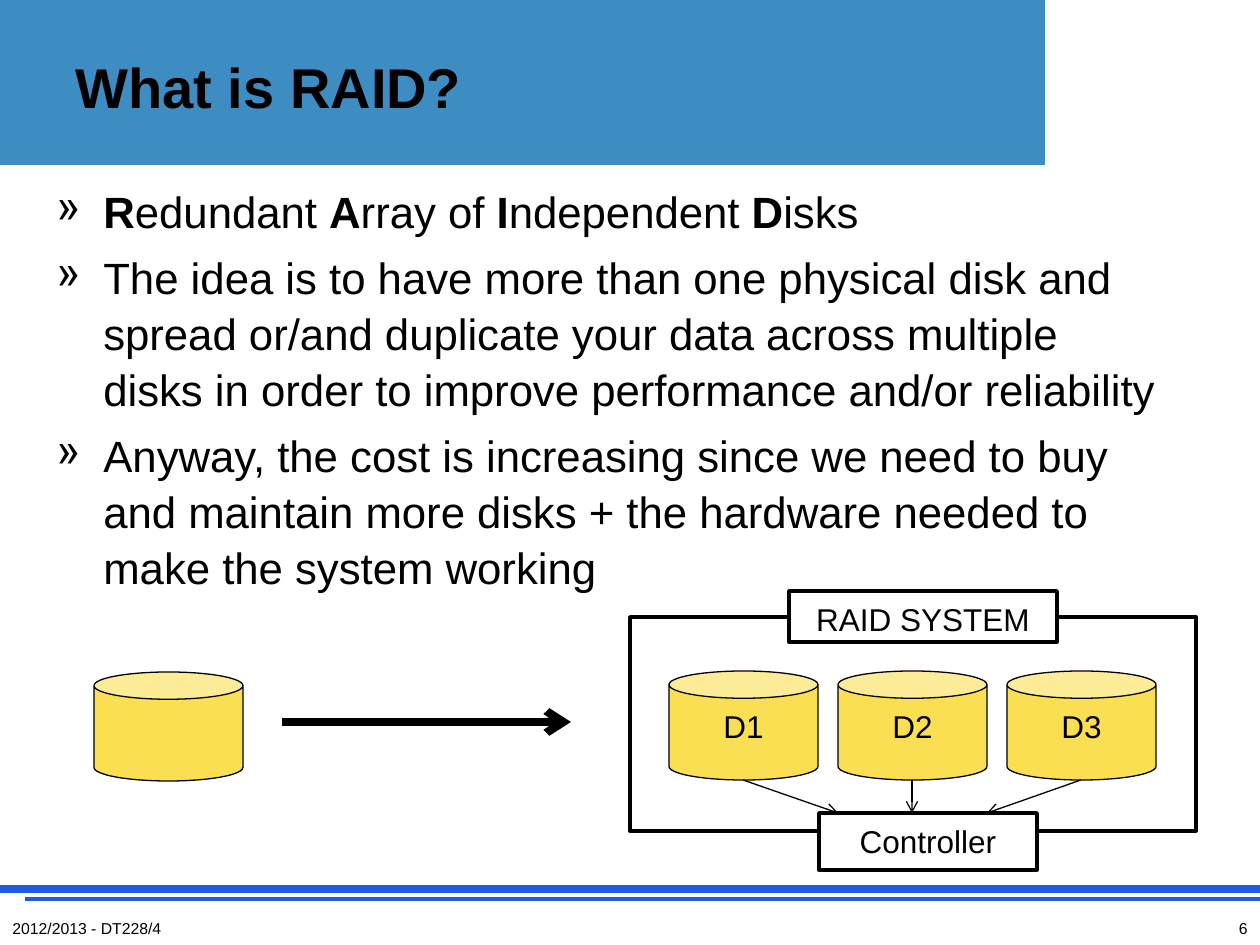
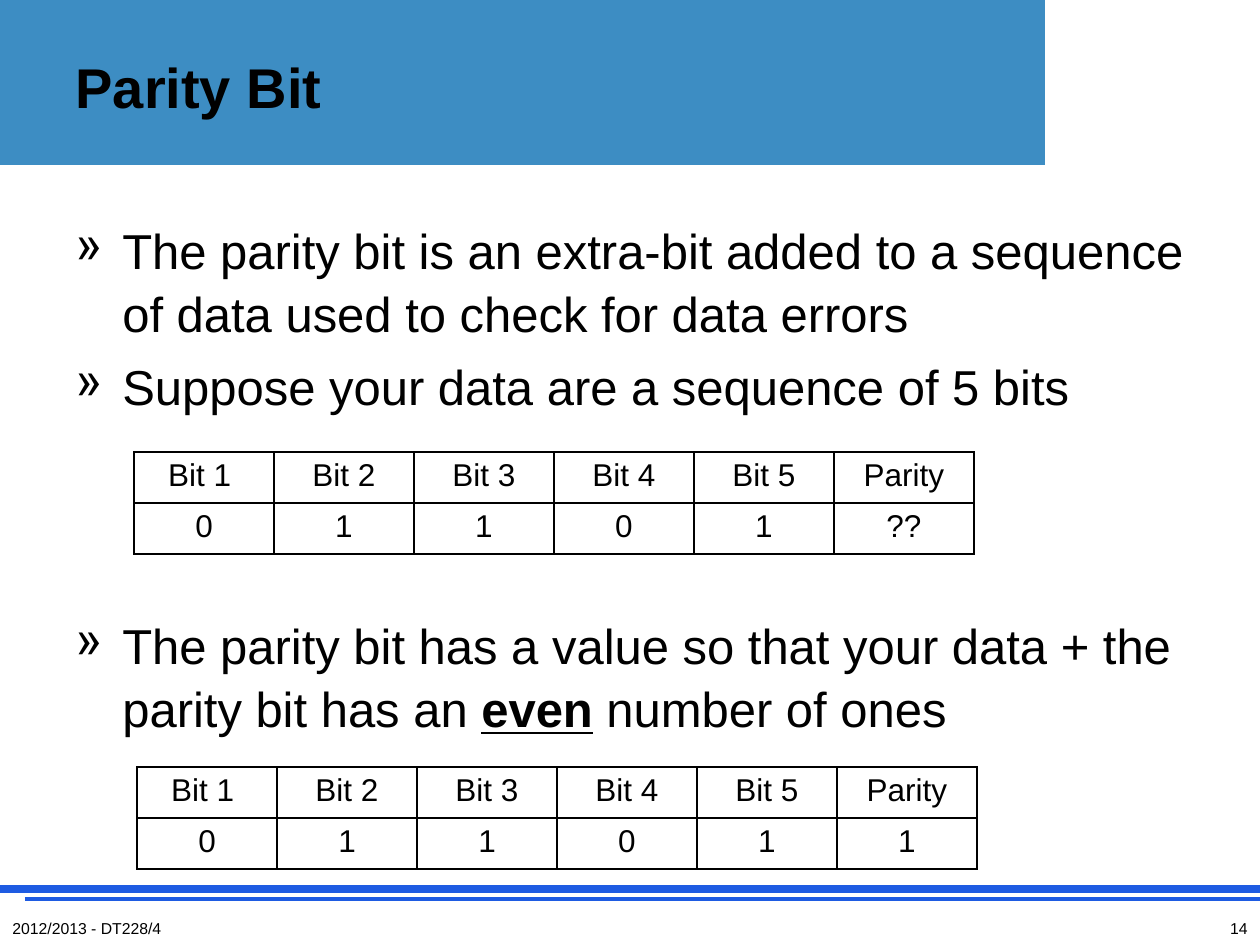
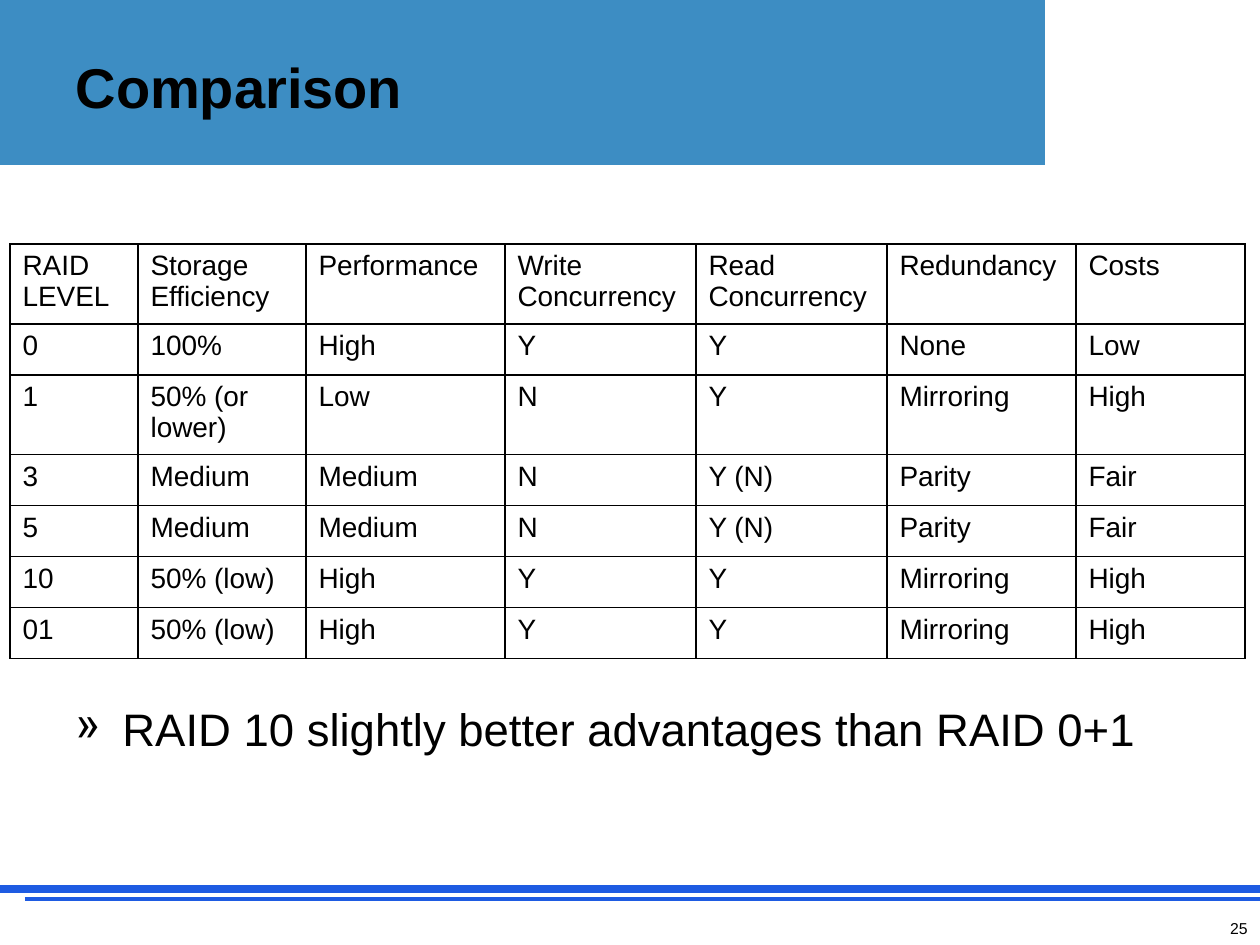
from lxml import etree
from pptx import Presentation
from pptx.dml.color import RGBColor
from pptx.enum.shapes import MSO_CONNECTOR, MSO_SHAPE
from pptx.enum.text import MSO_ANCHOR, PP_ALIGN
from pptx.oxml.ns import qn
from pptx.util import Emu, Pt

PX_PER_INCH = 126
SLIDE_W, SLIDE_H = 1260, 945
TITLE_ONLY = 5
FONT = "Arial"
COLORS = {"band": "3D8DC3", "rule": "1E5BE2", "disk": "FBDF53",
          "ink": "000000", "paper": "FFFFFF"}
LEFT, CENTER, RIGHT = PP_ALIGN.LEFT, PP_ALIGN.CENTER, PP_ALIGN.RIGHT
TOP, MIDDLE = MSO_ANCHOR.TOP, MSO_ANCHOR.MIDDLE
RECT, CAN = MSO_SHAPE.RECTANGLE, MSO_SHAPE.CAN
STRAIGHT = MSO_CONNECTOR.STRAIGHT
LINE_SPACING = 1.07
HANG = 47
ROW_H = 51
COURSE = "2012/2013 - DT228/4"


def px(length):
    return Emu(round(length * 914400 / PX_PER_INCH))


def rgb(name):
    return RGBColor.from_string(COLORS[name])


class Deck:
    def __init__(self):
        self.prs = Presentation()
        self.prs.slide_width, self.prs.slide_height = px(SLIDE_W), px(SLIDE_H)
        self.slide = None

    def new_slide(self, heading, number, footer=None):
        """Start a slide with the shared band, rules, title and footer."""
        layout = self.prs.slide_layouts[TITLE_ONLY]
        self.slide = self.prs.slides.add_slide(layout)
        self.shape(RECT, 0, 0, SLIDE_W, 165, fill="band")
        self.line((0, 889), (SLIDE_W, 889), 4.5, "rule")
        self.line((25, 899), (SLIDE_W, 899), 2.25, "rule")
        self.shape(RECT, 1047, 0, 213, 175, fill="paper", outline="paper", weight=2)

        title = self.slide.shapes.title
        title.left, title.top, title.width, title.height = map(px, (63, 16, 864, 136))
        title.text_frame.vertical_anchor = MIDDLE
        self.fill_paragraph(title.text_frame.paragraphs[0], heading, 32).bold = True
        title.element.getparent().append(title.element)

        if footer:
            self.text(footer, 0, 911, 294, 34, 9)
        self.text(str(number), 966, 911, 294, 34, 9, RIGHT)

    def fill_paragraph(self, paragraph, content, size, align=LEFT,
                       spacing=LINE_SPACING, underline=None):
        """Set text and style; stretches between ** marks are bold."""
        paragraph.alignment = align
        paragraph.line_spacing = spacing
        for index, part in enumerate(content.split("**")):
            if part:
                run = paragraph.add_run()
                run.text = part
                if index % 2:
                    run.font.bold = True
                    run.font.underline = underline
        font = paragraph.font
        font.name, font.size = FONT, Pt(size)
        font.color.rgb = rgb("ink")
        return font

    def text(self, content, left, top, width, height, size, align=LEFT):
        box = self.slide.shapes.add_textbox(*map(px, (left, top, width, height)))
        box.text_frame.word_wrap = True
        self.fill_paragraph(box.text_frame.paragraphs[0], content, size, align)

    def bullets(self, items, left, top, width, height, size, underline=None):
        """Items are (space before in points, text)."""
        box = self.slide.shapes.add_textbox(*map(px, (left, top, width, height)))
        frame = box.text_frame
        frame.word_wrap = True
        for index, (gap, content) in enumerate(items):
            paragraph = frame.add_paragraph() if index else frame.paragraphs[0]
            if gap:
                paragraph.space_before = Pt(gap)
            props = paragraph._p.get_or_add_pPr()
            props.set("marL", str(px(HANG)))
            props.set("indent", str(-px(HANG)))
            etree.SubElement(props, qn("a:buChar"), char="»")
            self.fill_paragraph(paragraph, content, size, underline=underline)

    def shape(self, kind, left, top, width, height, fill=None, outline=None,
              weight=0.75, label=None):
        shape = self.slide.shapes.add_shape(kind, *map(px, (left, top, width, height)))
        shape.shadow.inherit = False
        if fill:
            shape.fill.solid()
            shape.fill.fore_color.rgb = rgb(fill)
        else:
            shape.fill.background()
        if outline:
            shape.line.color.rgb = rgb(outline)
            shape.line.width = Pt(weight)
        else:
            shape.line.fill.background()
        if label:
            shape.text_frame.vertical_anchor = TOP
            self.fill_paragraph(shape.text_frame.paragraphs[0], label, 18, CENTER)

    def line(self, start, end, weight, color="ink", arrow=False):
        line = self.slide.shapes.add_connector(STRAIGHT, *map(px, start + end))
        line.line.color.rgb = rgb(color)
        line.line.width = Pt(weight)
        props = line.element.spPr
        if arrow:
            etree.SubElement(props.find(qn("a:ln")), qn("a:tailEnd"), type="arrow")
        etree.SubElement(props, qn("a:effectLst"))

    def table(self, rows, left, top, widths, size, align=LEFT):
        frame = self.slide.shapes.add_table(
            len(rows), len(widths),
            *map(px, (left, top, sum(widths), ROW_H * len(rows))))
        table = frame.table
        table.first_row = table.horz_banding = False
        for column, width in zip(table.columns, widths):
            column.width = px(width)
        for table_row, values in zip(table.rows, rows):
            table_row.height = px(ROW_H)
            for cell, value in zip(table_row.cells, values):
                self.cell_borders(cell)
                cell.fill.background()
                self.fill_paragraph(cell.text_frame.paragraphs[0], value, size, align, 1.0)

    def cell_borders(self, cell):
        props = cell._tc.get_or_add_tcPr()
        for side in ("lnL", "lnR", "lnT", "lnB"):
            border = etree.SubElement(props, qn(f"a:{side}"), w=str(Pt(1)))
            solid = etree.SubElement(border, qn("a:solidFill"))
            etree.SubElement(solid, qn("a:srgbClr"), val=COLORS["ink"])


def what_is_raid(deck):
    deck.new_slide("What is RAID?", 6, COURSE)
    deck.bullets([
        (0, "**R**edundant **A**rray of **I**ndependent **D**isks"),
        (5.5, "The idea is to have more than one physical disk and spread or/and "
              "duplicate your data across multiple disks in order to improve "
              "performance and/or reliability"),
        (5.5, "Anyway, the cost is increasing since we need to buy and maintain "
              "more disks + the hardware needed to make the system working"),
    ], 44, 175, 1134, 672, 25)

    disk_w, disk_h, disk_top, disk_step = 149, 109, 671, 169
    disk_lefts = [669 + disk_step * i for i in range(3)]
    for number, left in enumerate(disk_lefts, 1):
        deck.shape(CAN, left, disk_top, disk_w, disk_h, "disk", "ink", label=f"D{number}")
    deck.shape(CAN, 94, 672, disk_w, disk_h, "disk", "ink")
    deck.line((282, 722), (571, 722), 4.5, arrow=True)

    deck.shape(RECT, 630, 617, 566, 214, outline="ink", weight=2)
    deck.shape(RECT, 789, 591, 268, 51, "paper", "ink", 2, "RAID SYSTEM")
    controller_top = 813
    deck.shape(RECT, 819, controller_top, 218, 57, "paper", "ink", 2, "Controller")
    for left, target in zip(disk_lefts, (838, 912, 987)):
        deck.line((left + disk_w // 2, disk_top + disk_h), (target, controller_top),
                  0.75, arrow=True)


def parity_bit(deck):
    deck.new_slide("Parity Bit", 14, COURSE)
    deck.bullets([
        (0, "The parity bit is an extra-bit added to a sequence of data used to "
            "check for data errors"),
        (6, "Suppose your data are a sequence of 5 bits"),
        (112, "The parity bit has a value so that your data + the parity bit has "
              "an **even** number of ones"),
    ], 63, 210, 1134, 672, 28, underline=True)

    header = ["Bit 1 ", "Bit 2", "Bit 3", "Bit 4", "Bit 5", "Parity"]
    for left, top, parity in ((134, 452, "??"), (137, 767, "1")):
        deck.table([header, [*"01101", parity]], left, top, [140] * 6, 18, CENTER)


def comparison(deck):
    deck.new_slide("Comparison", 25)
    deck.table([
        ["RAID LEVEL", "Storage Efficiency", "Performance", "Write Concurrency",
         "Read Concurrency", "Redundancy", "Costs"],
        ["0", "100%", "High", "Y", "Y", "None", "Low"],
        ["1", "50% (or lower)", "Low", "N", "Y", "Mirroring", "High"],
        ["3", "Medium", "Medium", "N", "Y (N)", "Parity", "Fair"],
        ["5", "Medium", "Medium", "N", "Y (N)", "Parity", "Fair"],
        ["10", "50% (low)", "High", "Y", "Y", "Mirroring", "High"],
        ["01", "50% (low)", "High", "Y", "Y", "Mirroring", "High"],
    ], 10, 244, [128, 168, 199, 191, 191, 189, 169], 16)
    deck.bullets([(0, "RAID 10 slightly better advantages than RAID 0+1")],
                 63, 691, 1134, 191, 26)


def main():
    deck = Deck()
    what_is_raid(deck)
    parity_bit(deck)
    comparison(deck)
    deck.prs.save("out.pptx")


if __name__ == "__main__":
    main()
